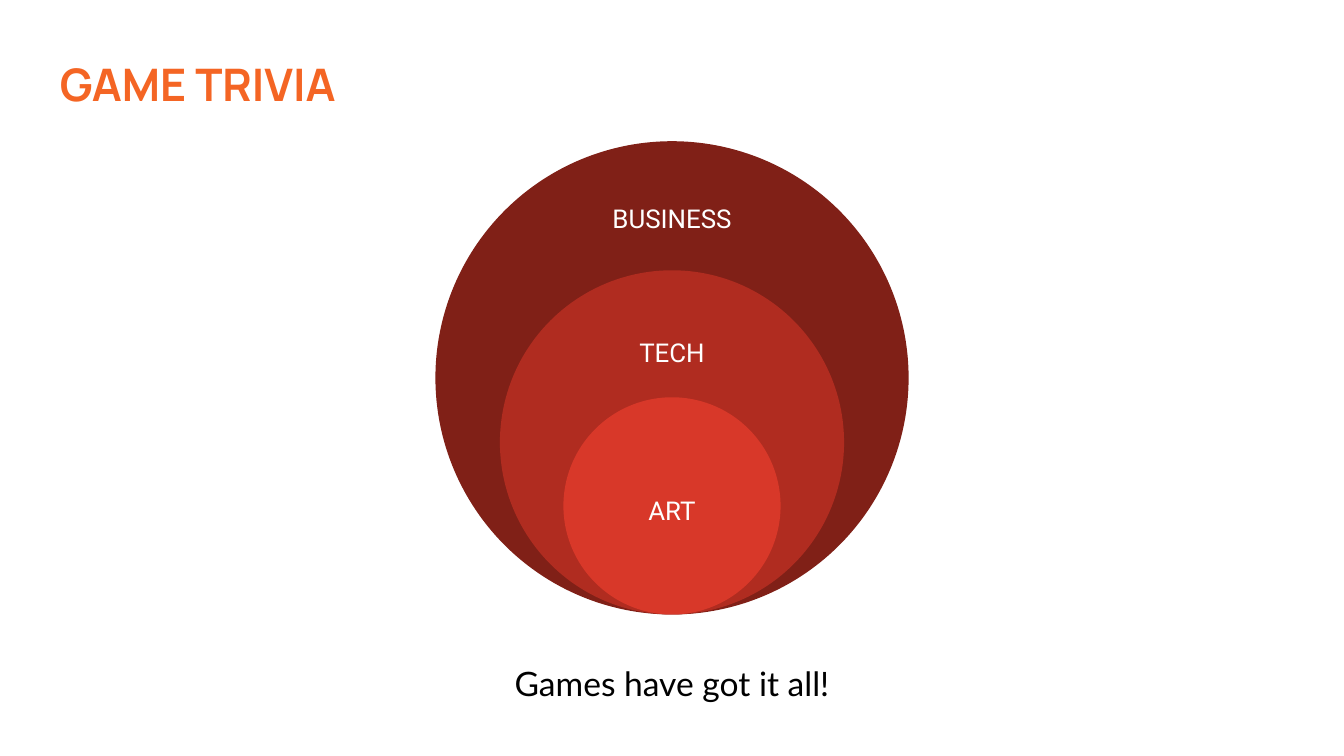
from pptx import Presentation
from pptx import util as u
from pptx.dml.color import RGBColor
from pptx.enum import shapes, text

WHITE = RGBColor(0xFF, 0xFF, 0xFF)
BLACK = RGBColor(0x00, 0x00, 0x00)
ORANGE = RGBColor(0xF4, 0x65, 0x24)
MAROON = RGBColor(0x80, 0x20, 0x17)
BRICK = RGBColor(0xB0, 0x2C, 0x20)
SCARLET = RGBColor(0xD8, 0x38, 0x29)

WIDTH, HEIGHT = u.Inches(26.67), u.Inches(15)
COLUMN, ROW = WIDTH / 100, HEIGHT / 100
CENTER = 50
RINGS_BOTTOM = 81.28
RINGS = [
    ("BUSINESS", MAROON, 62.6, 23.33, 17.25, 10.93),
    ("TECH", BRICK, 45.53, 41.33, 16.16, 10.4),
    ("ART", SCARLET, 28.73, 61.13, 13.46, 12.6),
]


def write(frame, words, font, size, color, bold=False, after=0,
          align=text.PP_ALIGN.CENTER, anchor=text.MSO_ANCHOR.TOP):
    frame.word_wrap = True
    frame.auto_size = text.MSO_AUTO_SIZE.NONE
    frame.vertical_anchor = anchor
    frame.margin_left = frame.margin_right = u.Inches(0.27)
    frame.margin_top = frame.margin_bottom = u.Inches(0.27)
    para = frame.paragraphs[0]
    para.alignment = align
    para.space_after = u.Pt(after)
    span = para.add_run()
    span.text = words
    span.font.name = font
    span.font.size = u.Pt(size)
    span.font.bold = bold
    span.font.color.rgb = color


class Page:
    title_font, label_font, caption_font = "Manrope", "Roboto", "Lato"

    def __init__(self, deck):
        self.slide = deck.slides.add_slide(deck.slide_layouts[5])
        self.slide.background.fill.solid()
        self.slide.background.fill.fore_color.rgb = WHITE

    def place(self, left, top, width, height):
        return [u.Emu(round(length)) for length in
                (left * COLUMN, top * ROW, width * COLUMN, height * ROW)]

    def title(self, words, *area):
        box = self.slide.shapes.title
        box.left, box.top, box.width, box.height = self.place(*area)
        write(box.text_frame, words, self.title_font, 64, ORANGE, bold=True,
              after=43, align=text.PP_ALIGN.LEFT)

    def box(self, words, *area, **style):
        box = self.slide.shapes.add_textbox(*self.place(*area))
        write(box.text_frame, words, **style)
        return box

    def caption(self, words, *area):
        self.box(words, *area, font=self.caption_font, size=48, color=BLACK)

    def ring(self, words, color, diameter, label_top, label_width, label_height):
        across = diameter * ROW / COLUMN
        circle = self.slide.shapes.add_shape(
            shapes.MSO_SHAPE.OVAL,
            *self.place(CENTER - across / 2, RINGS_BOTTOM - diameter, across, diameter))
        circle.shadow.inherit = False
        circle.fill.solid()
        circle.fill.fore_color.rgb = color
        circle.line.fill.background()
        label = self.box(words, CENTER - label_width / 2, label_top,
                         label_width, label_height, font=self.label_font,
                         size=37, color=WHITE, anchor=text.MSO_ANCHOR.MIDDLE)
        self.slide.shapes.add_group_shape([circle, label])


def main():
    deck = Presentation()
    deck.slide_width, deck.slide_height = WIDTH, HEIGHT
    page = Page(deck)
    for ring in RINGS:
        page.ring(*ring)
    page.title("GAME TRIVIA", 3.45, 5.67, 56.84, 14.93)
    page.caption("Games have got it all!", 7.63, 85.87, 84.74, 10.67)
    deck.save("out.pptx")


if __name__ == "__main__":
    main()
